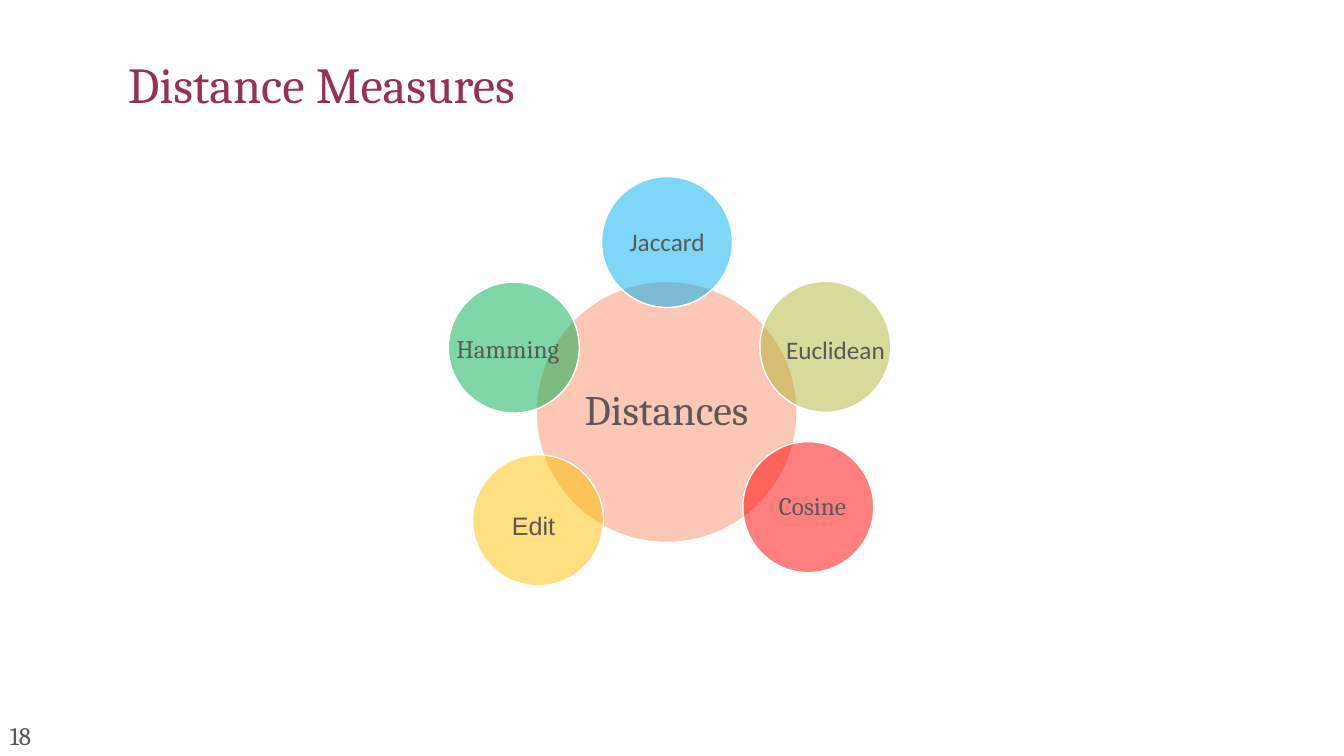
from lxml import etree
from pptx import Presentation
from pptx.dml.color import RGBColor
from pptx.enum.shapes import MSO_SHAPE
from pptx.enum.text import MSO_ANCHOR, MSO_AUTO_SIZE, PP_ALIGN
from pptx.oxml.ns import qn
from pptx.util import Cm, Pt

OVAL = MSO_SHAPE.OVAL
MIDDLE, BOTTOM = MSO_ANCHOR.MIDDLE, MSO_ANCHOR.BOTTOM
LEFT, CENTER = PP_ALIGN.LEFT, PP_ALIGN.CENTER
GROW, FIXED = MSO_AUTO_SIZE.SHAPE_TO_FIT_TEXT, MSO_AUTO_SIZE.NONE

TITLE_ONLY = 5
TITLE_COLOR, TEXT_COLOR = "972F57", "595959"
LABEL_HEIGHT = 1.02
HUB_SIZE, MEASURE_SIZE = 6.58, 3.3
HUB_LEFT, HUB_TOP = 2.21, 2.64

# name, circle left, circle top, color, font, label left, label top, label width
MEASURES = [
    ("Jaccard", 3.86, 0, "00B0F0", "Calibri", 0.46, 1.14, 2.62),
    ("Euclidean", 7.85, 2.64, "B0B736", "Calibri", 0.41, 1.22, 3.15),
    ("Cosine", 7.42, 6.68, "FF0000", "Cambria", 0.66, 1.11, 2.64),
    ("Hamming", 0, 2.66, "00B050", "Cambria", -0.05, 1.17, 3.15),
    ("Edit", 0.61, 7.01, "FFC000", "Arial", 0.74, 1.27, 1.8),
]


def color(hex_value):
    """Return the color for a hex string."""
    return RGBColor.from_string(hex_value)


def set_attributes(target, values):
    """Set every attribute named in a dict of format values."""
    for name, value in values.items():
        setattr(target, name, value)


def write_text(shape, text, font, size, hex_value, frame_format, paragraph_format):
    """Fill a shape with one formatted paragraph."""
    set_attributes(shape.text_frame, frame_format)
    shape.text_frame.text = text
    paragraph = shape.text_frame.paragraphs[0]
    set_attributes(paragraph, paragraph_format)
    set_attributes(paragraph.font, {"name": font, "size": Pt(size)})
    paragraph.font.color.rgb = color(hex_value)


def add_title(slide, left, top, width, height):
    """Place the slide title in its placeholder."""
    title = slide.shapes.title
    position = {"left": Cm(left), "top": Cm(top), "width": Cm(width), "height": Cm(height)}
    set_attributes(title, position)
    write_text(title, "Distance Measures", "Cambria", 36, TITLE_COLOR,
               {"vertical_anchor": BOTTOM, "word_wrap": True, "auto_size": FIXED},
               {"alignment": LEFT, "line_spacing": 0.9})


def add_label(slide, text, font, left, top, width):
    """Add a small text label."""
    label = slide.shapes.add_textbox(Cm(left), Cm(top), Cm(width), Cm(LABEL_HEIGHT))
    write_text(label, text, font, 18, TEXT_COLOR,
               {"word_wrap": True, "auto_size": GROW}, {"alignment": LEFT})


def add_circle(slide, left, top, size, hex_value):
    """Add a half-transparent circle with a white outline."""
    circle = slide.shapes.add_shape(OVAL, Cm(left), Cm(top), Cm(size), Cm(size))
    circle.shadow.inherit = False
    circle.fill.solid()
    circle.fill.fore_color.rgb = color(hex_value)
    fill_color = circle.fill._xPr.find(qn("a:solidFill"))[0]
    etree.SubElement(fill_color, qn("a:alpha")).set("val", "50000")
    circle.line.color.rgb = color("FFFFFF")
    circle.line.width = Pt(1)
    return circle


def add_distance_diagram(slide, left, top):
    """Add the hub circle and the distance measures around it."""
    hub = add_circle(slide, left + HUB_LEFT, top + HUB_TOP, HUB_SIZE, "FA906A")
    margins = {f"margin_{side}": Cm(0.1) for side in ("left", "top", "right", "bottom")}
    write_text(hub, "Distances", "Cambria", 30, TEXT_COLOR,
               {"vertical_anchor": MIDDLE, "word_wrap": True, **margins},
               {"alignment": CENTER, "line_spacing": 0.9})
    for name, x, y, hex_value, font, label_x, label_y, label_width in MEASURES:
        add_circle(slide, left + x, top + y, MEASURE_SIZE, hex_value)
        add_label(slide, name, font, left + x + label_x, top + y + label_y, label_width)


def main():
    """Build and save the presentation."""
    presentation = Presentation()
    set_attributes(presentation, {"slide_width": Cm(33.87), "slide_height": Cm(19.05)})
    slide = presentation.slides.add_slide(presentation.slide_layouts[TITLE_ONLY])
    add_title(slide, 2.97, 1.37, 27.94, 1.63)
    add_distance_diagram(slide, 11.3, 4.45)
    add_label(slide, "18", "Cambria", 0, 18.03, 1.3)
    presentation.save("out.pptx")


if __name__ == "__main__":
    main()
